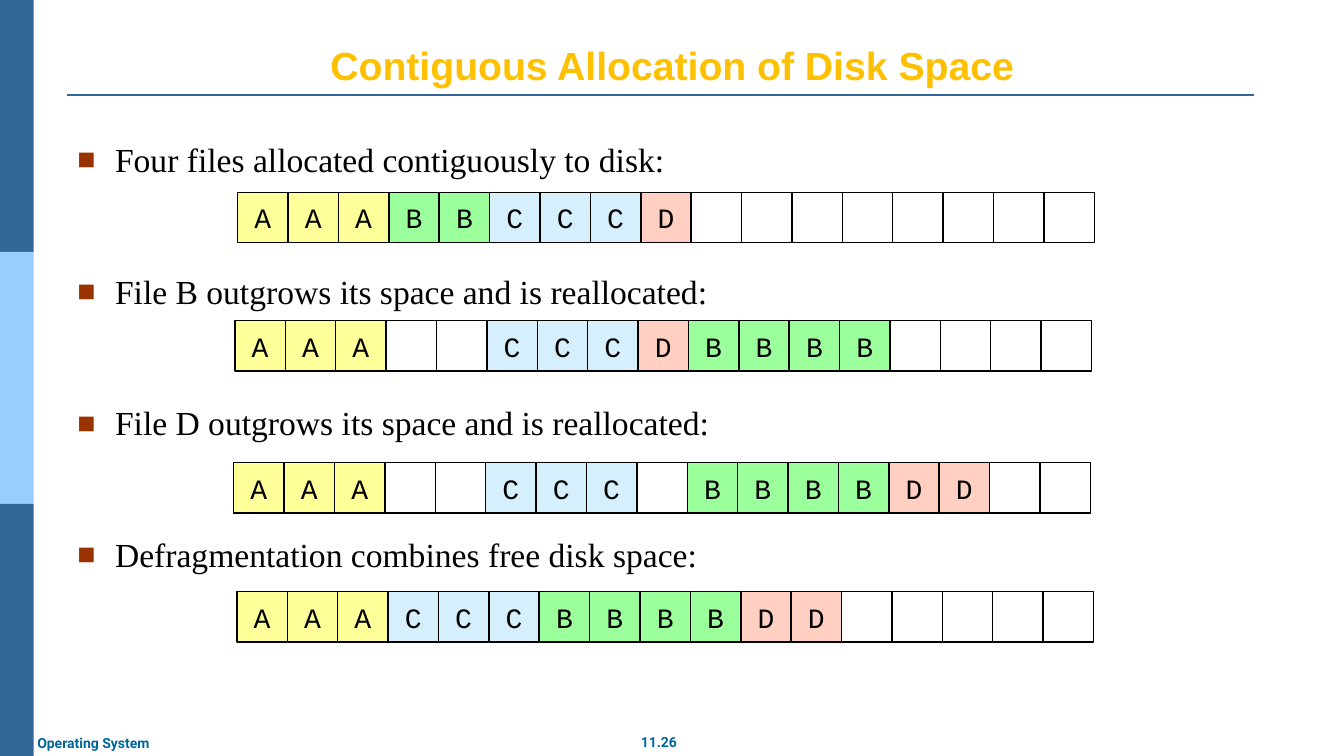
from lxml import etree
from pptx import Presentation
from pptx import util as u
from pptx.dml.color import RGBColor
from pptx.enum import shapes, text
from pptx.oxml.ns import qn

BLUE, SKY, TEAL = "336699", "99CCFF", "006699"
FILLS = {"A": "FFFF99", "B": "9BFF9B", "C": "D5EFFC", "D": "FFD0C1", ".": "FFFFFF"}
CELL = 1.27
# Label, then the left and top of its disk within the body, then the blocks ("." is free)
STEPS = [
    ("Four files allocated contiguously to disk:", 4.29, 1.55, "AAABBCCCD........"),
    ("File B outgrows its space and is reallocated:", 4.22, 4.78, "AAA..CCCDBBBB...."),
    ("File D outgrows its space and is reallocated:", 4.19, 8.36, "AAA..CCC.BBBBDD.."),
    ("Defragmentation combines free disk space:", 4.27, 11.61, "AAACCCBBBBDD....."),
]


def color(code):
    return RGBColor.from_string(code)


def box(left, top, width, height):
    return [u.Cm(n) for n in (left, top, width, height)]


def write(para, words, size=24, face="Times New Roman", ink="000000", bold=False, align="LEFT"):
    para.text = words
    para.alignment = getattr(text.PP_ALIGN, align)
    font = para.runs[0].font
    font.size, font.name, font.bold = u.Pt(size), face, bold
    font.color.rgb = color(ink)


def rect(parent, area, fill, edge=None):
    shape = parent.add_shape(shapes.MSO_SHAPE.RECTANGLE, *box(*area))
    shape.shadow.inherit = False
    shape.fill.solid()
    shape.fill.fore_color.rgb = color(fill)
    if edge:
        shape.line.color.rgb = color(edge)
        shape.line.width = u.Pt(1)
    else:
        shape.line.fill.background()
    return shape


def bullet(para):
    """Hang the paragraph from a small brown square."""
    props = para._p.get_or_add_pPr()
    props.set("marL", str(u.Cm(0.95)))
    props.set("indent", str(u.Cm(-0.95)))
    tint = etree.SubElement(props, qn("a:buClr"))
    etree.SubElement(tint, qn("a:srgbClr"), val="993300")
    etree.SubElement(props, qn("a:buSzPct"), val="90000")
    etree.SubElement(props, qn("a:buFont"), typeface="Arial")
    etree.SubElement(props, qn("a:buChar"), char="■")


def side(slide, left, top, width, height):
    part = height / 3
    for i, fill in enumerate((BLUE, SKY, BLUE)):
        rect(slide.shapes, (left, top + i * part, width, part), fill)


def header(slide, left, top, width, height):
    title = slide.shapes.title
    title.left, title.top, title.width, title.height = box(left, top, width, height)
    title.text_frame.vertical_anchor = text.MSO_ANCHOR.BOTTOM
    write(title.text_frame.paragraphs[0], "Contiguous Allocation of Disk Space",
          size=28, face="Arial", ink="FFC000", bold=True, align="CENTER")
    y = u.Cm(top + height + 0.03)
    rule = slide.shapes.add_connector(
        shapes.MSO_CONNECTOR.STRAIGHT, u.Cm(left), y, u.Cm(left + 29.9), y)
    rule.line.color.rgb = color(BLUE)
    rule.line.width = u.Pt(1.5)
    etree.SubElement(rule._element.spPr, qn("a:effectLst"))


def footer(slide, left, top, width, height, words, align="LEFT"):
    frame = slide.shapes.add_textbox(*box(left, top, width, height)).text_frame
    frame.word_wrap = False
    write(frame.paragraphs[0], words, size=10, face="Roboto", ink=TEAL, bold=True, align=align)


def disk(slide, left, top, blocks):
    group = slide.shapes.add_group_shape()
    for i, name in enumerate(blocks):
        cell = rect(group.shapes, (left + i * CELL, top, CELL, CELL), FILLS[name], "000000")
        if name != ".":
            frame = cell.text_frame
            frame.word_wrap = False
            frame.vertical_anchor = text.MSO_ANCHOR.MIDDLE
            write(frame.paragraphs[0], name, size=20, face="Courier New", align="CENTER")


def body(slide, left, top, width, height):
    frame = slide.shapes.add_textbox(*box(left, top, width, height)).text_frame
    frame.word_wrap = True
    frame.margin_top = u.Cm(0.2)
    for i, (label, x, y, blocks) in enumerate(STEPS):
        para = frame.add_paragraph() if i else frame.paragraphs[0]
        if i:
            para.space_before = u.Pt(65.3)
        bullet(para)
        write(para, label)
        disk(slide, left + x, top + y, blocks)


def main():
    deck = Presentation()
    deck.slide_width, deck.slide_height = u.Cm(33.87), u.Cm(19.05)
    slide = deck.slides.add_slide(deck.slide_layouts[5])
    side(slide, 0, 0, 0.85, 19.05)
    header(slide, 1.7, 0.76, 30.48, 1.6)
    footer(slide, 15.88, 18.36, 1.45, 0.69, "11.26", align="CENTER")
    footer(slide, 0.69, 18.39, 3.56, 0.69, "Operating System")
    body(slide, 1.7, 3.3, 30.48, 12.57)
    deck.save("out.pptx")


if __name__ == "__main__":
    main()
